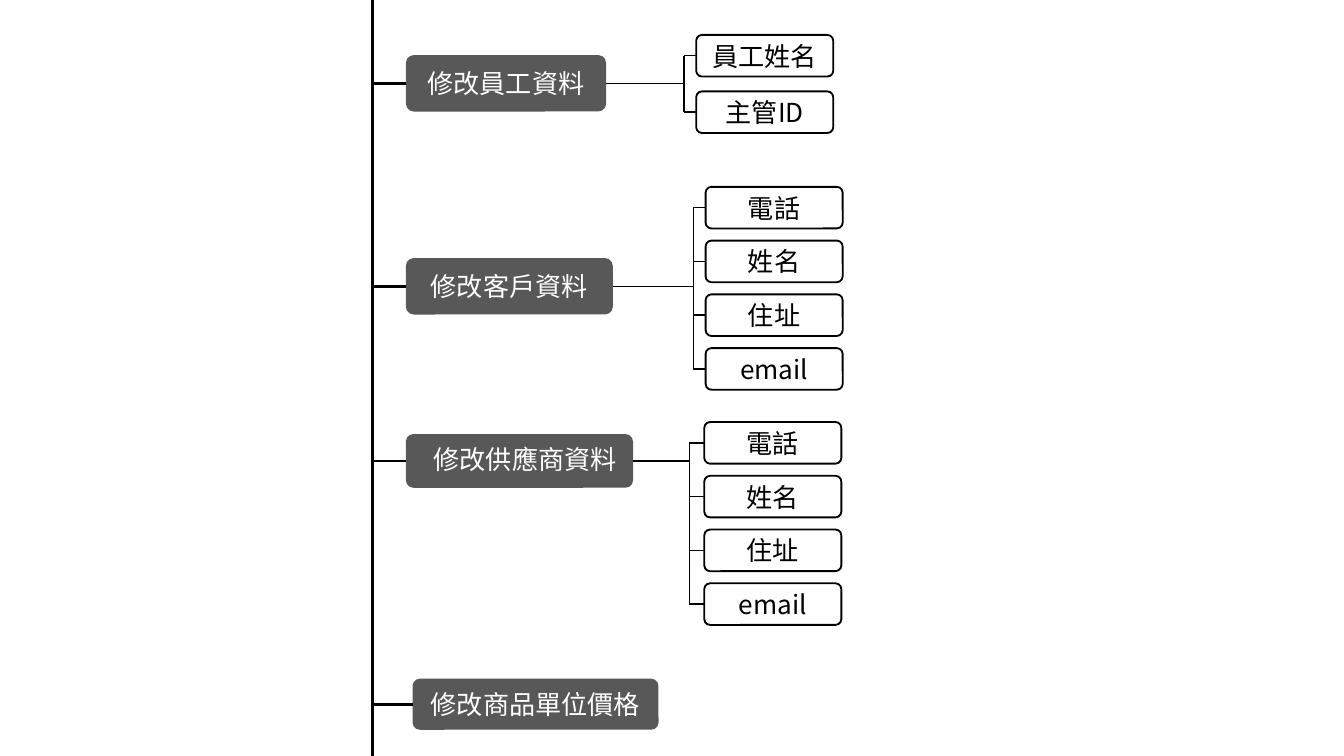
from lxml.etree import SubElement
from pptx import Presentation
from pptx.dml.color import RGBColor
from pptx.enum.shapes import MSO_CONNECTOR, MSO_SHAPE
from pptx.enum.text import MSO_ANCHOR, PP_ALIGN
from pptx.oxml.ns import qn
from pptx.util import Inches, Pt

COLORS = {"dark": "585858", "white": "FFFFFF", "black": "000000"}
FONT = "Noto Sans CJK SC"
LEFT, RIGHT = 1, 3  # connection sites of a rectangle
SLIDE_WIDTH = 10
SLIDE_HEIGHT = SLIDE_WIDTH * 9 / 16
TRUNK_X = 2.77
FIELD_WIDTH, FIELD_HEIGHT = 1.02, 0.31
CONTACT_FIELDS = ["電話", "姓名", "住址", "email"]

# Category: text, left, top, width, height, alignment
# Fields: spine x, left, top, step, texts
BRANCHES = [
    (("修改員工資料", 3.02, 0.41, 1.49, 0.42, PP_ALIGN.CENTER),
     (5.09, 5.18, 0.26, 0.42, ["員工姓名", "主管ID"])),
    (("修改客戶資料", 3.02, 1.92, 1.54, 0.42, PP_ALIGN.CENTER),
     (5.16, 5.25, 1.39, 0.4, CONTACT_FIELDS)),
    (("修改供應商資料", 3.02, 3.23, 1.69, 0.4, PP_ALIGN.LEFT),
     (5.13, 5.24, 3.14, 0.4, CONTACT_FIELDS)),
    (("修改商品單位價格", 3.07, 5.05, 1.83, 0.38, PP_ALIGN.CENTER), None),
]


def color(name):
    return RGBColor.from_string(COLORS[name])


def add_box(slide, text, left, top, width, height, fill, text_color, outline=None):
    """Add a rounded box and return its shape."""
    shape = slide.shapes.add_shape(
        MSO_SHAPE.ROUNDED_RECTANGLE,
        Inches(left), Inches(top), Inches(width), Inches(height))
    shape.shadow.inherit = False
    shape.adjustments[0] = 0.14
    shape.fill.solid()
    shape.fill.fore_color.rgb = color(fill)
    if outline:
        shape.line.color.rgb = color(outline)
        shape.line.width = Pt(1)
    else:
        shape.line.fill.background()

    shape.text_frame.vertical_anchor = MSO_ANCHOR.MIDDLE
    paragraph = shape.text_frame.paragraphs[0]
    paragraph.text = text
    paragraph.alignment = PP_ALIGN.CENTER
    font = paragraph.font
    font.size = Pt(14)
    font.color.rgb = color(text_color)
    font.name = FONT
    # East Asian characters take their own typeface element
    properties = paragraph._p.get_or_add_pPr().find(qn("a:defRPr"))
    SubElement(properties, qn("a:ea"), typeface=FONT)
    return shape


def add_line(slide, start, end, width=0.75):
    """Add a straight black connector between two points."""
    line = slide.shapes.add_connector(
        MSO_CONNECTOR.STRAIGHT, *map(Inches, start), *map(Inches, end))
    line.line.color.rgb = color("black")
    line.line.width = Pt(width)
    SubElement(line._element.spPr, qn("a:effectLst"))
    return line


def add_category(slide, text, left, top, width, height, alignment):
    """Add a dark category box and its branch from the trunk."""
    box = add_box(slide, text, left, top, width, height, "dark", "white")
    paragraph = box.text_frame.paragraphs[0]
    paragraph.alignment = alignment
    if alignment == PP_ALIGN.LEFT:
        paragraph.line_spacing = 0.9
        box.text_frame.margin_left = Inches(0.19)
    middle = top + height / 2
    branch = add_line(slide, (TRUNK_X, middle), (left, middle), 1.5)
    branch.end_connect(box, LEFT)
    return box


def add_fields(slide, category, spine_x, left, top, step, texts):
    """Add the field boxes of a category with their bracket."""
    middles = []
    for index, text in enumerate(texts):
        field_top = top + index * step
        middle = field_top + FIELD_HEIGHT / 2
        middles.append(middle)
        box = add_box(slide, text, left, field_top, FIELD_WIDTH, FIELD_HEIGHT,
                      "white", "black", "black")
        stub = add_line(slide, (spine_x, middle), (left, middle))
        stub.end_connect(box, LEFT)
    add_line(slide, (spine_x, middles[0]), (spine_x, middles[-1]))

    # Link from the category to the bracket
    category_middle = (category.top + category.height / 2) / Inches(1)
    category_right = (category.left + category.width) / Inches(1)
    link = add_line(slide, (category_right, category_middle),
                    (spine_x, category_middle))
    link.begin_connect(category, RIGHT)


def main():
    presentation = Presentation()
    presentation.slide_width = Inches(SLIDE_WIDTH)
    presentation.slide_height = Inches(SLIDE_HEIGHT)
    slide = presentation.slides.add_slide(presentation.slide_layouts[6])

    # Trunk
    add_line(slide, (TRUNK_X, 0), (TRUNK_X, SLIDE_HEIGHT), 1.5)

    # Branches
    for category, fields in BRANCHES:
        box = add_category(slide, *category)
        if fields:
            add_fields(slide, box, *fields)

    presentation.save("out.pptx")


if __name__ == "__main__":
    main()
